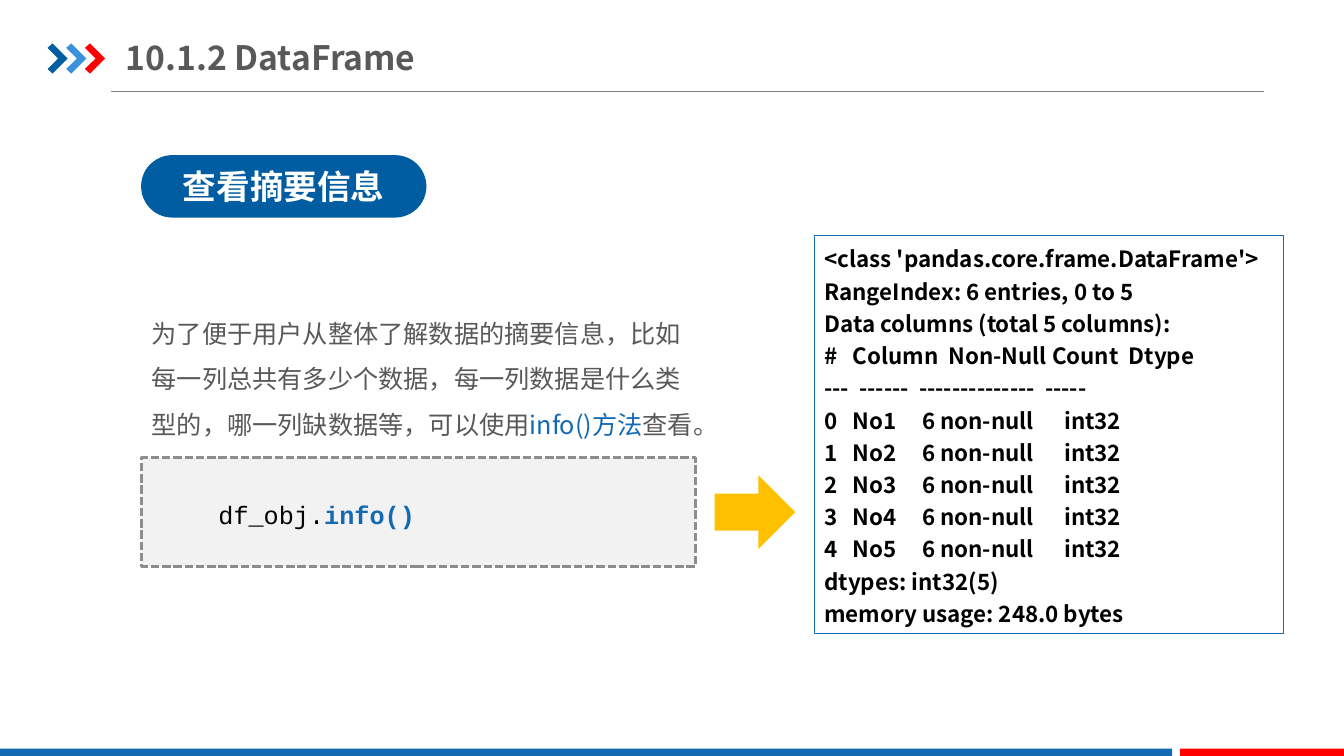
from pptx import Presentation, util as u
from pptx.dml.color import RGBColor
from pptx.enum import dml, shapes, text
from pptx.oxml.ns import qn

Pt = u.Pt
COLORS = {
    "navy": "005DA2", "sky": "3992DB", "red": "FF0000", "blue": "1369B2",
    "gray": "595959", "rule": "808080", "white": "FFFFFF", "black": "000000",
    "panel": "F2F2F2", "dash": "8D8D8D", "amber": "FFC000",
}
SANS, MONO = "Noto Sans CJK SC", "Courier New"
BODY = {"size": Pt(18), "name": SANS}
OUTPUT = [
    "<class 'pandas.core.frame.DataFrame'>",
    "RangeIndex: 6 entries, 0 to 5",
    "Data columns (total 5 columns):",
    "#   Column  Non-Null Count  Dtype",
    "---  ------  --------------  -----",
    *[f"{i}   No{i + 1}     6 non-null      int32" for i in range(5)],
    "dtypes: int32(5)",
    "memory usage: 248.0 bytes",
]


def rgb(name):
    return RGBColor.from_string(COLORS[name])


def paint(sp, fill=None, line=None, width=1):
    sp.shadow.inherit = False
    if fill:
        sp.fill.solid()
        sp.fill.fore_color.rgb = rgb(fill)
    else:
        sp.fill.background()
    if line:
        sp.line.color.rgb = rgb(line)
        sp.line.width = Pt(width)
    else:
        sp.line.fill.background()


def add_block(s, kind, box, **style):
    sp = s.shapes.add_shape(kind, *map(Pt, box))
    paint(sp, **style)
    return sp


def add_textbox(s, box):
    tf = s.shapes.add_textbox(*map(Pt, box)).text_frame
    tf.word_wrap = True
    return tf


def add_run(p, words, color, **fmt):
    r = p.add_run()
    r.text = words
    r.font.color.rgb = rgb(color)
    for key, value in fmt.items():
        setattr(r.font, key, value)
    ea = r.font._element.makeelement(qn("a:ea"), {"typeface": fmt["name"]})
    r.font._element.append(ea)


def add_header(s, box):
    x, y, w, h = box
    # Rule under the title
    rule = s.shapes.add_connector(
        shapes.MSO_CONNECTOR.STRAIGHT, Pt(x + 45.2), Pt(y + h), Pt(x + w), Pt(y + h))
    rule.line.color.rgb = rgb("rule")
    rule.line.width = Pt(0.75)
    props = rule._element.spPr
    props.append(props.makeelement(qn("a:effectLst"), {}))
    # Three chevrons
    outline = [(0, 3.2), (3.6, 0), (14.4, 10.8), (3.6, 21.6), (0, 18.3), (7.6, 10.8)]
    for i, color in enumerate(("navy", "sky", "red")):
        points = [(Pt(x + 13.35 * i + dx), Pt(y + 10 + dy)) for dx, dy in outline]
        builder = s.shapes.build_freeform(*points[0])
        builder.add_line_segments(points[1:], close=True)
        paint(builder.convert_to_shape(), fill=color)
    # Title
    title = s.shapes.title
    place = {"left": x + 56, "top": y, "width": 327.6, "height": 39.6}
    for key, value in place.items():
        setattr(title, key, Pt(value))
    tf = title.text_frame
    frame = {"margin_left": 0, "margin_right": 0, "margin_top": Pt(5),
             "margin_bottom": Pt(5), "word_wrap": True,
             "auto_size": text.MSO_AUTO_SIZE.NONE,
             "vertical_anchor": text.MSO_ANCHOR.MIDDLE}
    for key, value in frame.items():
        setattr(tf, key, value)
    p = tf.paragraphs[0]
    p.alignment = text.PP_ALIGN.LEFT
    add_run(p, "10.1.2 DataFrame", "gray", size=Pt(24), name=SANS, bold=True)


def add_footer(s, box):
    x, y, w, h = box
    red = 117.1
    rect = shapes.MSO_SHAPE.RECTANGLE
    add_block(s, rect, (x, y, w - red - 5.6, h), fill="blue")
    add_block(s, rect, (x + w - red, y, red, h), fill="red")


def add_explanation(s, box):
    x, y, w, h = box
    # Section label
    pill = add_block(s, shapes.MSO_SHAPE.ROUNDED_RECTANGLE,
                     (x, y, 203.8, 44.6), fill="navy")
    pill.adjustments[0] = 0.5
    pill.text_frame.vertical_anchor = text.MSO_ANCHOR.MIDDLE
    p = pill.text_frame.paragraphs[0]
    p.alignment = text.PP_ALIGN.CENTER
    add_run(p, "查看摘要信息", "white", size=Pt(24), name=SANS, bold=True)
    # Description
    p = add_textbox(s, (x + 0.5, y + 102.2, w, 105.1)).paragraphs[0]
    p.line_spacing = 1.5
    add_run(p, "为了便于用户从整体了解数据的摘要信息，比如每一列总共有多少个数据，"
               "每一列数据是什么类型的，哪一列缺数据等，可以使用", "gray", **BODY)
    add_run(p, "info()方法", "blue", **BODY)
    add_run(p, "查看。", "gray", **BODY)
    # Code panel along the bottom of the region
    top = y + h - 77.8
    panel = add_block(s, shapes.MSO_SHAPE.RECTANGLE, (x + 0.5, top, 395.3, 77.8),
                      fill="panel", line="dash", width=2)
    panel.line.dash_style = dml.MSO_LINE.SQUARE_DOT
    p = add_textbox(s, (x + 27.2, top + 23, 368.6, 32.4)).paragraphs[0]
    p.line_spacing = 1.15
    p._p.get_or_add_pPr().set("indent", str(Pt(20.9)))
    code = {"size": Pt(18), "name": MONO}
    add_run(p, "df_obj.", "black", **code)
    add_run(p, "info()", "blue", bold=True, **code)


def add_arrow(s, box):
    arrow = add_block(s, shapes.MSO_SHAPE.DOWN_ARROW, box, fill="amber")
    arrow.rotation = 270


def add_output(s, box):
    sp = add_block(s, shapes.MSO_SHAPE.RECTANGLE, box, line="blue", width=0.25)
    tf = sp.text_frame
    tf.word_wrap = True
    tf.vertical_anchor = text.MSO_ANCHOR.TOP
    for i, row in enumerate(OUTPUT):
        p = tf.add_paragraph() if i else tf.paragraphs[0]
        p.alignment = text.PP_ALIGN.LEFT
        p.line_spacing = 1.2
        add_run(p, row, "black", size=Pt(16), name=SANS, bold=True)


def main():
    prs = Presentation()
    prs.slide_width, prs.slide_height = Pt(960), Pt(540)
    s = prs.slides.add_slide(prs.slide_layouts[5])
    add_header(s, (34, 21, 869, 44.5))
    add_footer(s, (0, 534.7, 960, 6.3))
    add_explanation(s, (100.8, 110.8, 406.8, 293.9))
    add_arrow(s, (512.9, 337, 52.6, 57.6))
    add_output(s, (581.8, 168, 334.8, 284.4))
    prs.save("out.pptx")


if __name__ == "__main__":
    main()
